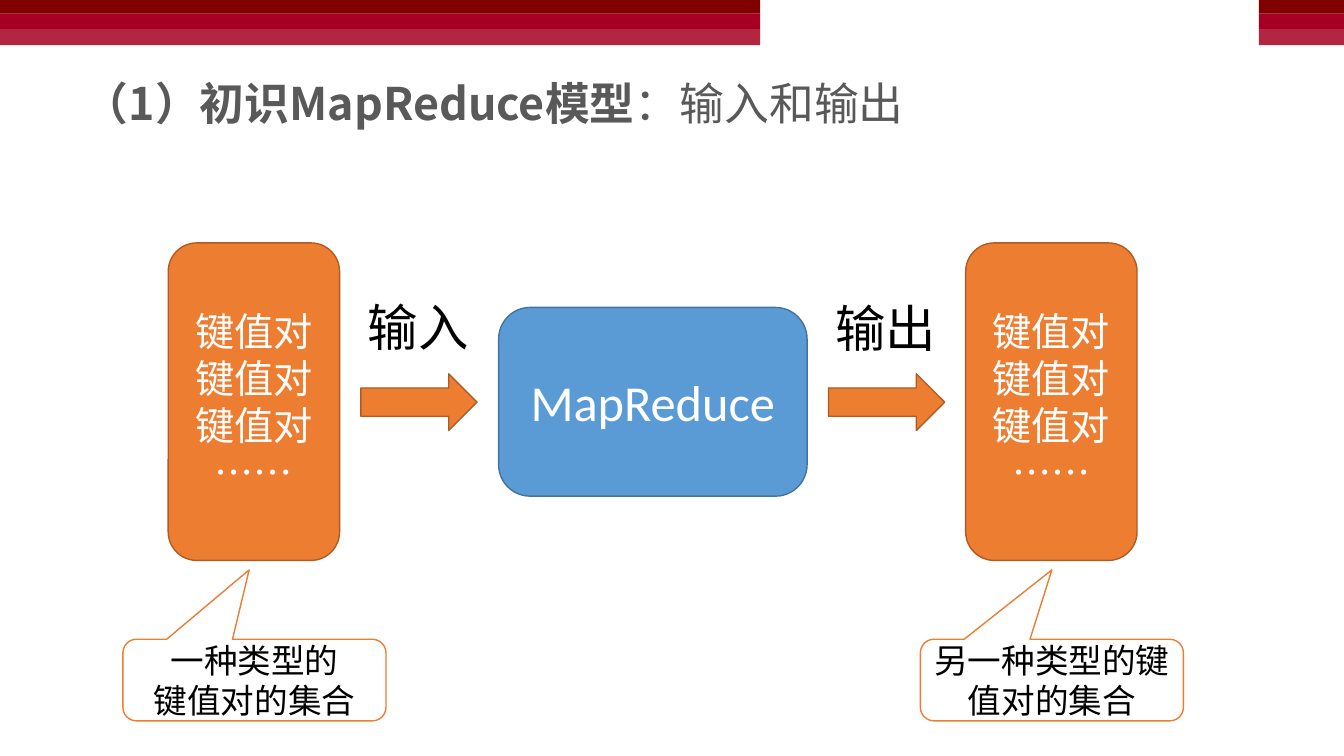
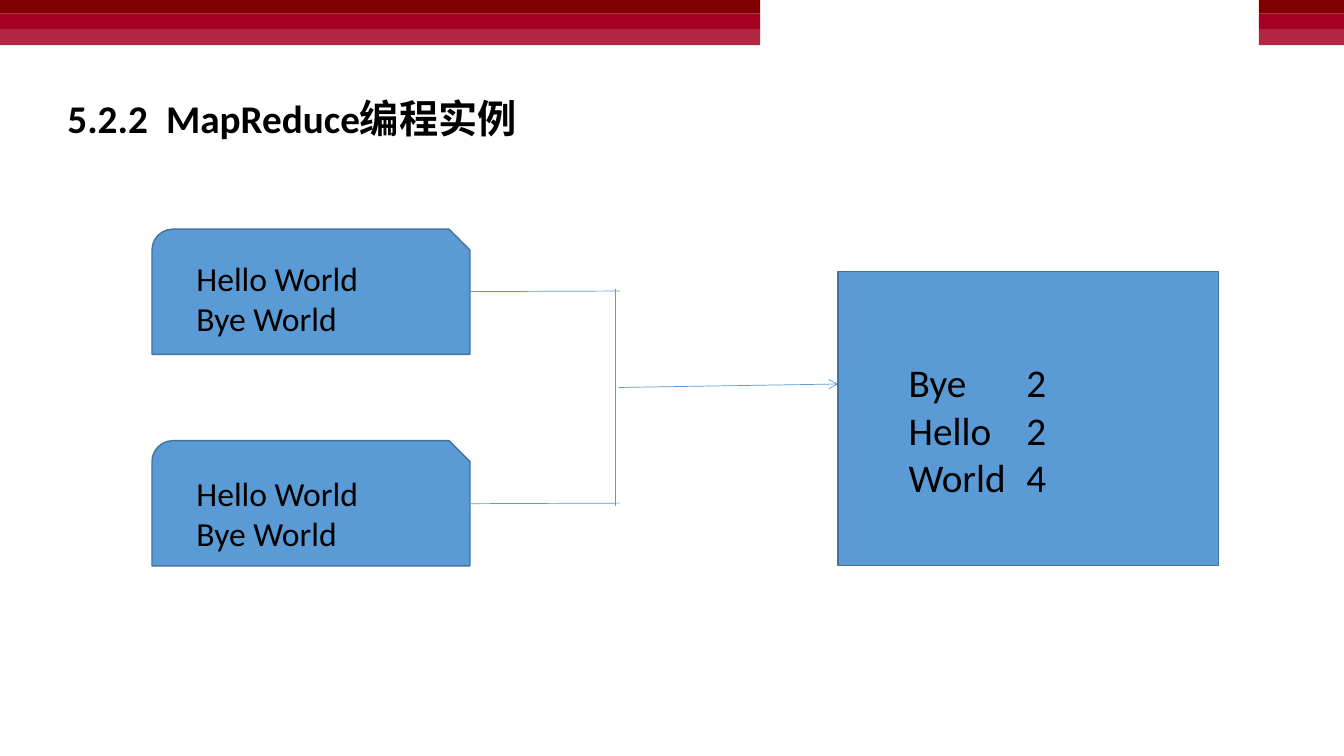
from dataclasses import dataclass

from lxml.etree import SubElement
from pptx import Presentation
from pptx.dml.color import RGBColor
from pptx.enum.shapes import MSO_CONNECTOR, MSO_SHAPE as Preset
from pptx.enum.text import MSO_ANCHOR as Anchor, MSO_AUTO_SIZE as AutoSize, PP_ALIGN as Align
from pptx.oxml.ns import qn
from pptx.shapes.autoshape import Shape
from pptx.slide import Slide
from pptx.text.text import TextFrame
from pptx.util import Pt

# Shared look
COLOURS = {
    "maroon": "800000", "crimson": "A50021", "rose": "B22642",
    "blue": "5B9BD5", "navy": "43739E", "orange": "ED7D31", "rust": "AF5C24",
    "grey": "595959", "black": "000000", "white": "FFFFFF",
}
LATIN, CHINESE = "Calibri", "Noto Sans CJK SC"
WIDTH, HEIGHT = 960, 540


@dataclass(frozen=True)
class Box:
    left: float
    top: float
    width: float
    height: float


@dataclass(frozen=True)
class Side:
    """One end of the data flow: a set of pairs, its arrow and its callout."""
    pairs_left: float
    arrow_left: float
    label: str
    label_box: Box
    callout_left: float
    callout_lines: tuple[str, ...]
    pointer_x: float


@dataclass(frozen=True)
class Stroke:
    start: tuple[float, float]
    end: tuple[float, float]
    arrow: bool = False


def colour(name: str) -> RGBColor:
    return RGBColor.from_string(COLOURS[name])


# Drawing helpers
def write(frame: TextFrame, lines: tuple[str, ...], *, size: float, font: str = LATIN,
          ink: str = "black", bold: bool = False, light_tail: str = "",
          align: Align = Align.LEFT, anchor: Anchor = Anchor.TOP, wrap: bool = True,
          spacing: float | None = None, tab: float | None = None) -> None:
    frame.auto_size = AutoSize.NONE
    frame.word_wrap = wrap
    frame.vertical_anchor = anchor
    for index, line in enumerate(lines):
        paragraph = frame.paragraphs[0] if index == 0 else frame.add_paragraph()
        if tab is not None:
            stops = SubElement(paragraph._p.get_or_add_pPr(), qn("a:tabLst"))
            SubElement(stops, qn("a:tab"), pos=str(Pt(tab)), algn="l")
        paragraph.alignment = align
        if spacing is not None:
            paragraph.line_spacing = spacing
        spans = [(line, bold)]
        if light_tail:
            spans.append((light_tail, False))
        for words, heavy in spans:
            run = paragraph.add_run()
            run.text = words
            run.font.name = font
            run.font.size = Pt(size)
            run.font.bold = heavy
            run.font.color.rgb = colour(ink)
            SubElement(run.font._element, qn("a:ea"), typeface=CHINESE)


def add_block(slide: Slide, preset: Preset, box: Box, fill: str,
              outline: str | None = None) -> Shape:
    block = slide.shapes.add_shape(
        preset, Pt(box.left), Pt(box.top), Pt(box.width), Pt(box.height))
    block.shadow.inherit = False
    block.fill.solid()
    block.fill.fore_color.rgb = colour(fill)
    if outline:
        block.line.color.rgb = colour(outline)
        block.line.width = Pt(1)
    else:
        block.line.fill.background()
    return block


def add_label(slide: Slide, box: Box, lines: tuple[str, ...], **text_format) -> None:
    label = slide.shapes.add_textbox(
        Pt(box.left), Pt(box.top), Pt(box.width), Pt(box.height))
    write(label.text_frame, lines, **text_format)


def add_stroke(slide: Slide, stroke: Stroke) -> None:
    connector = slide.shapes.add_connector(
        MSO_CONNECTOR.STRAIGHT, *(Pt(value) for value in stroke.start + stroke.end))
    connector.line.color.rgb = colour("blue")
    connector.line.width = Pt(0.5)
    properties = connector.element.spPr
    if stroke.arrow:
        SubElement(properties.find(qn("a:ln")), qn("a:tailEnd"), type="arrow")
    SubElement(properties, qn("a:effectLst"))


def set_title(slide: Slide, box: Box, words: str, **text_format) -> None:
    title = slide.shapes.title
    title.left, title.top = Pt(box.left), Pt(box.top)
    title.width, title.height = Pt(box.width), Pt(box.height)
    write(title.text_frame, (words,), bold=True, **text_format)


def add_bands(slide: Slide) -> None:
    """Draw the stripes once and move them to the layout."""
    shared = slide.slide_layout.shapes.element
    stripes = (("maroon", 0, 9.8), ("crimson", 9.8, 11.1), ("rose", 20.9, 11.4))
    for left, right in ((0, 543), (899.3, WIDTH)):
        for fill, top, height in stripes:
            band = add_block(slide, Preset.RECTANGLE,
                             Box(left, top, right - left, height), fill)
            shared.append(band.element)


# Slide 1: input and output
SIDES = (
    Side(120.2, 257.8, "输入", Box(255.6, 208, 87, 51), 87.8,
         ("一种类型的", "键值对的集合"), -0.02),
    Side(689.8, 591.8, "输出", Box(589.7, 208.8, 87, 51), 657.4,
         ("另一种类型的键值对的集合",), 0),
)


def build_model(slide: Slide) -> None:
    set_title(slide, Box(52.6, 54.7, 828, 67), "（1）初识MapReduce模型",
              light_tail="：输入和输出", size=32, font=CHINESE, ink="grey", spacing=0.9)
    centred = {"align": Align.CENTER, "anchor": Anchor.MIDDLE}
    engine = add_block(slide, Preset.ROUNDED_RECTANGLE,
                       Box(356.2, 219.6, 220.3, 134.8), "blue", "navy")
    write(engine.text_frame, ("MapReduce",), size=36, ink="white", **centred)
    for side in SIDES:
        pairs = add_block(slide, Preset.ROUNDED_RECTANGLE,
                          Box(side.pairs_left, 173.5, 122.4, 226.8), "orange", "rust")
        write(pairs.text_frame, ("键值对",) * 3 + ("……",), size=28, font=CHINESE,
              ink="white", **centred)
        add_block(slide, Preset.RIGHT_ARROW,
                  Box(side.arrow_left, 267, 83, 40.5), "orange", "rust")
        add_label(slide, side.label_box, (side.label,), size=36, font=CHINESE, wrap=False)
        callout = add_block(slide, Preset.ROUNDED_RECTANGULAR_CALLOUT,
                            Box(side.callout_left, 456.6, 187.9, 58.3), "white", "orange")
        callout.adjustments[0] = side.pointer_x
        callout.adjustments[1] = -1.35
        write(callout.text_frame, side.callout_lines, size=24, **centred)


# Slide 2: word count example
STROKES = (
    Stroke((335.7, 208.3), (443, 207.9)),
    Stroke((335.7, 359.8), (443, 359.4)),
    Stroke((439.7, 206.6), (439.7, 361.4)),
    Stroke((442.1, 276.8), (598.7, 274.3), arrow=True),
)


def build_example(slide: Slide) -> None:
    set_title(slide, Box(41, 64.1, 760, 41), "5.2.2\tMapReduce编程实例", size=28, tab=70.5)
    for file_top, words_top in ((163.7, 180.7), (314.8, 334.1)):
        add_block(slide, Preset.SNIP_ROUND_RECTANGLE,
                  Box(108.6, file_top, 227.1, 89.4), "blue", "navy")
        add_label(slide, Box(133.2, words_top, 159, 65.5),
                  ("Hello World", "Bye World"), size=24)
    for stroke in STROKES:
        add_stroke(slide, stroke)
    add_block(slide, Preset.RECTANGLE, Box(598.7, 194, 271.5, 210), "blue", "navy")
    add_label(slide, Box(642, 252.7, 159, 108.7),
              ("Bye\t2", "Hello\t2", "World\t4"), size=28, tab=84)


def main() -> None:
    deck = Presentation()
    deck.slide_width, deck.slide_height = Pt(WIDTH), Pt(HEIGHT)
    title_only = deck.slide_layouts[5]
    model, example = (deck.slides.add_slide(title_only) for _ in range(2))
    add_bands(model)
    build_model(model)
    build_example(example)
    deck.save("out.pptx")


if __name__ == "__main__":
    main()
